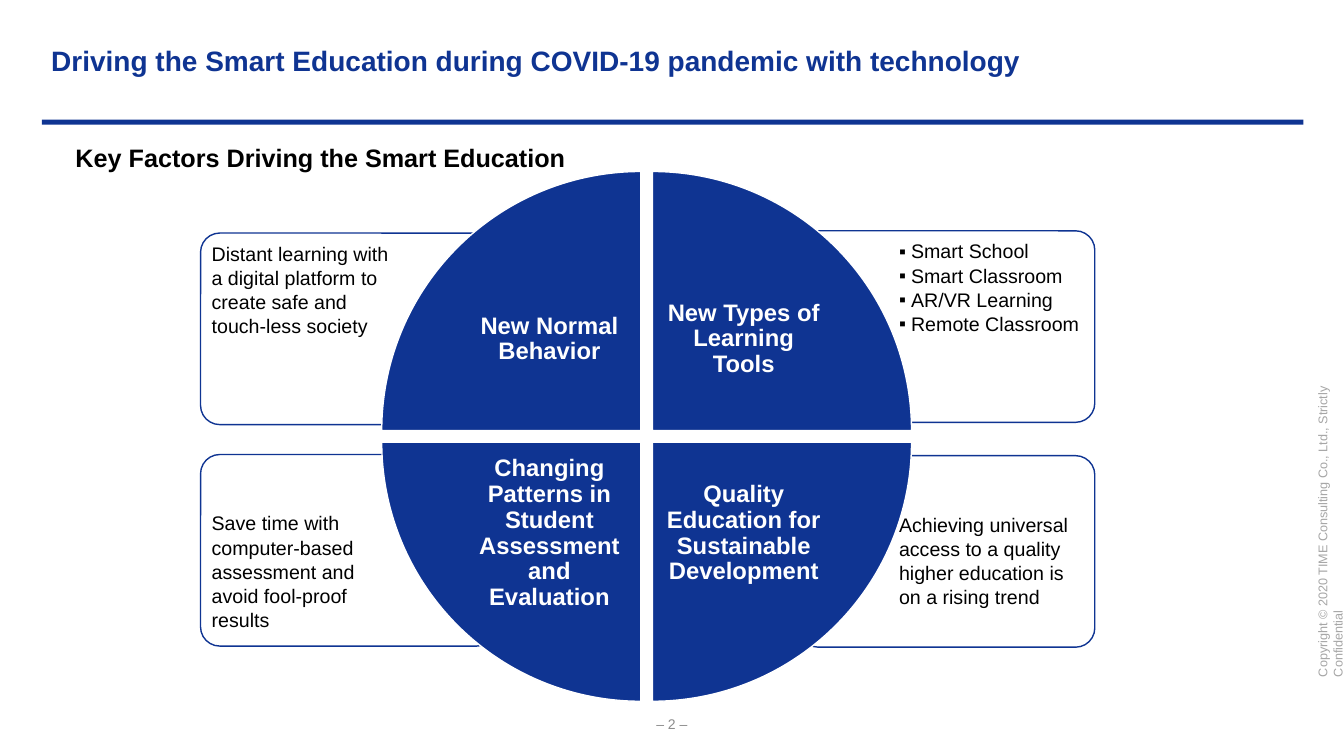
"""Builds a slide on four key factors that drive smart education."""
import dataclasses

import lxml.etree
import pptx
import pptx.dml.color
import pptx.enum.shapes
import pptx.enum.text
import pptx.oxml.ns
import pptx.util

Pt = pptx.util.Pt
RGB = pptx.dml.color.RGBColor.from_string
qn = pptx.oxml.ns.qn
Kind = pptx.enum.shapes.MSO_SHAPE
Align = pptx.enum.text.PP_ALIGN
Anchor = pptx.enum.text.MSO_ANCHOR


@dataclasses.dataclass
class Theme:
    font: str = "Arial"
    blue: str = "0F3492"
    white: str = "FFFFFF"
    black: str = "000000"
    page: str = "8C8C8C"
    legal: str = "A6A6A6"
    title: int = 20
    head: int = 18
    label: int = 17
    note: int = 14
    foot: int = 10
    small: int = 9


theme = Theme()


def write(shape, lines, size, color, bold=False, align=Align.LEFT,
          anchor=Anchor.TOP, pad=None, space=1, after=0, hang=0, mark=None):
    frame = shape.text_frame
    frame.word_wrap = True
    frame.auto_size = pptx.enum.text.MSO_AUTO_SIZE.NONE
    frame.vertical_anchor = anchor
    if pad:
        frame.margin_left = frame.margin_right = Pt(pad)
        frame.margin_top = frame.margin_bottom = Pt(pad)
    frame.text = "\n".join(lines)
    for para in frame.paragraphs:
        props = para._p.get_or_add_pPr()
        if hang:
            props.set("marL", str(Pt(hang)))
            props.set("indent", str(-Pt(hang)))
        if mark:
            lxml.etree.SubElement(props, qn("a:buChar"), char=mark)
        para.alignment = align
        para.line_spacing = space
        para.space_before = Pt(0)
        para.space_after = Pt(after)
        para.font.name = theme.font
        para.font.size = Pt(size)
        para.font.bold = bold
        para.font.color.rgb = RGB(color)


def draw(kind, left, top, width, height, fill, line=None):
    shape = slide.shapes.add_shape(kind, Pt(left), Pt(top), Pt(width), Pt(height))
    shape.shadow.inherit = False
    shape.fill.solid()
    shape.fill.fore_color.rgb = RGB(fill)
    if line:
        shape.line.color.rgb = RGB(line)
        shape.line.width = Pt(1)
    else:
        shape.line.fill.background()
    return shape


deck = pptx.Presentation()
deck.slide_width, deck.slide_height = Pt(960), Pt(540)
slide = deck.slides.add_slide(deck.slide_layouts[1])
title, body = slide.shapes.title, slide.placeholders[1]

title.left, title.top, title.width, title.height = Pt(29.4), Pt(27.4), Pt(900), Pt(31.5)
write(title, ["Driving the Smart Education during COVID-19 pandemic with technology"],
      theme.title, theme.blue, bold=True)

draw(Kind.RECTANGLE, 30, 85.5, 901, 3.6, theme.blue)

page = slide.shapes.add_textbox(Pt(444.2), Pt(509.8), Pt(71.3), Pt(15.1))
write(page, ["– 2 –"], theme.foot, theme.page, align=Align.CENTER, anchor=Anchor.MIDDLE)

legal = slide.shapes.add_textbox(Pt(817.9), Pt(355), Pt(253.4), Pt(18))
legal.rotation = 270
write(legal, ["Copyright © 2020 TIME Consulting Co., Ltd., Strictly Confidential"],
      theme.small, theme.legal)

head = slide.shapes.add_textbox(Pt(46.8), Pt(97.9), Pt(404.6), Pt(28.8))
write(head, ["Key Factors Driving the Smart Education"], theme.head, theme.black, bold=True)

cards = [
    (571, 325.5, 637.2, 37.5, None,
     ["Achieving universal", "access to a quality", "higher education is", "on a rising trend"]),
    (143.3, 324.7, 146.2, 37.5, None,
     ["Save time with", "computer-based", "assessment and", "avoid fool-proof", "results"]),
    (571, 164.9, 637.2, 3, "▪",
     ["Smart School", "Smart Classroom", "AR/VR Learning", "Remote Classroom"]),
    (143.3, 166.5, 146.2, 3, None,
     ["Distant learning with", "a digital platform to", "create safe and", "touch-less society"]),
]
for left, top, inset, drop, mark, lines in cards:
    card = draw(Kind.ROUNDED_RECTANGLE, left, top, 211, 136.8, theme.white, theme.blue)
    card.adjustments[0] = 0.1
    tint = card.element.spPr.find(qn("a:solidFill")).find(qn("a:srgbClr"))
    lxml.etree.SubElement(tint, qn("a:alpha"), val="90000")
    if mark:
        note = body
        slide.shapes.element.append(body.element)
    else:
        note = slide.shapes.add_textbox(0, 0, 0, 0)
    note.left, note.top, note.width, note.height = Pt(inset), Pt(top + drop), Pt(141.8), Pt(96.5)
    write(note, lines, theme.note, theme.black, pad=5, space=0.9, after=2.1,
          hang=8.6, mark=mark)

side, inner, step = 185, 130.4, 193.4
wedges = [
    (0, 0, "New Normal Behavior"),
    (1, 0, "New Types of Learning Tools"),
    (1, 1, "Quality Education for Sustainable Development"),
    (0, 1, "Changing Patterns in Student Assessment and Evaluation"),
]
for turn, (col, row, text) in enumerate(wedges):
    left, top = 272.7 + col * step, 122.5 + row * step
    wedge = draw(Kind.PIE_WEDGE, left, top, side, side, theme.blue, theme.white)
    wedge.rotation = turn * 90
    label = slide.shapes.add_textbox(Pt(left + (1 - col) * (side - inner)),
                                     Pt(top + (1 - row) * (side - inner)),
                                     Pt(inner), Pt(inner))
    write(label, [text], theme.label, theme.white, bold=True, align=Align.CENTER,
          anchor=Anchor.MIDDLE, pad=9.5, space=0.9)

deck.save("out.pptx")
